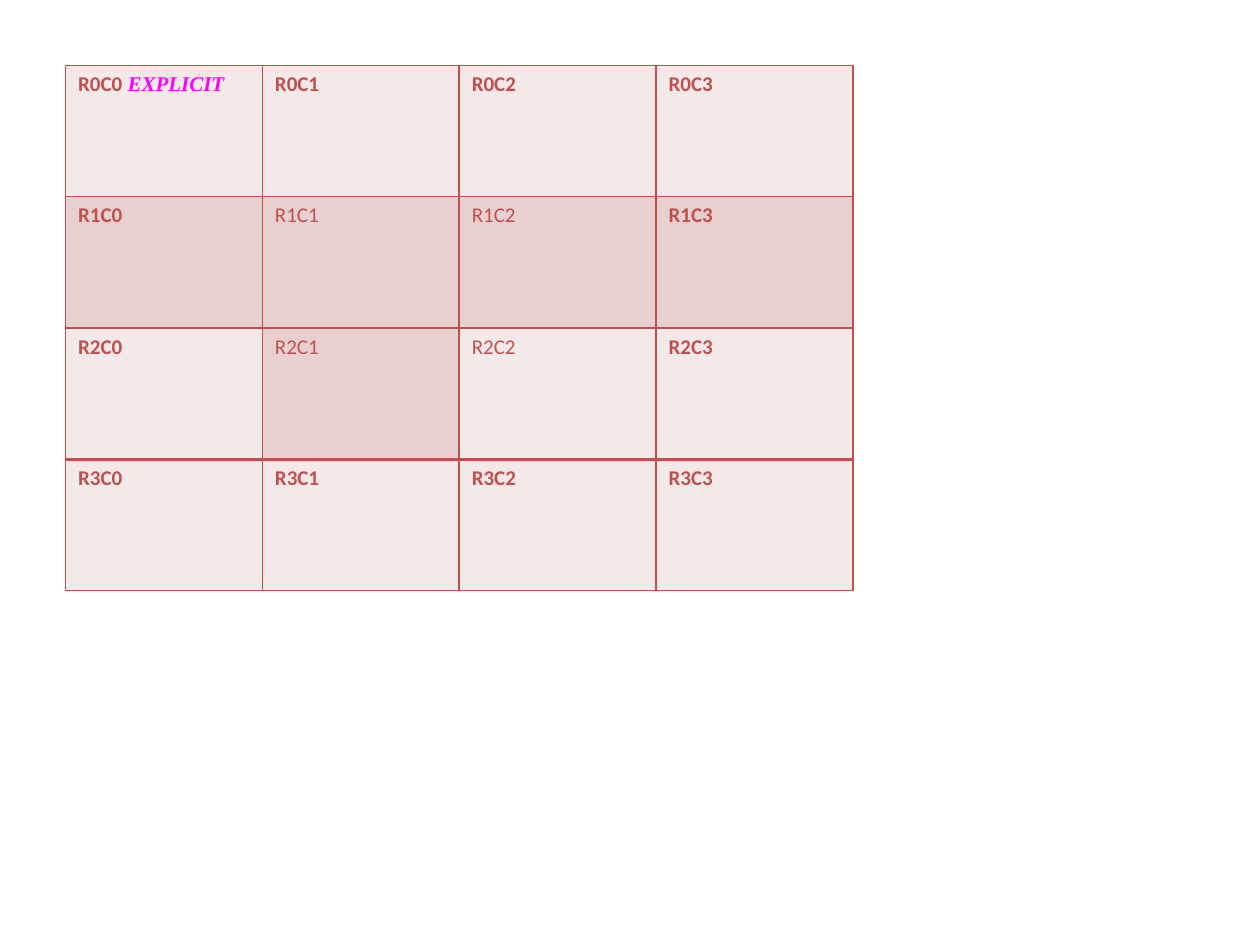
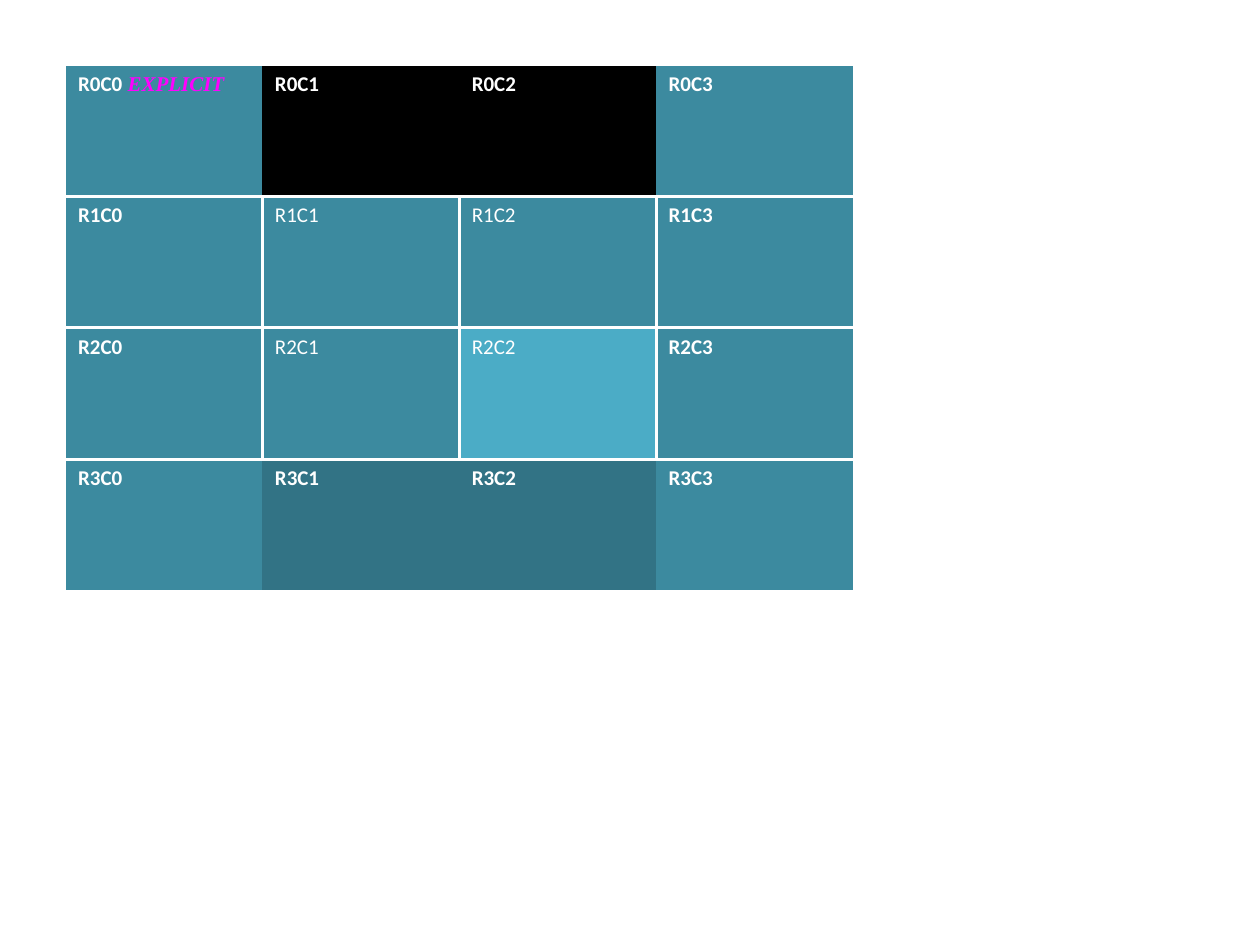
from pptx import Presentation, util as u
from pptx.dml.color import RGBColor
from pptx.oxml.xmlchemy import OxmlElement

WIDE, HIGH = u.Inches(10), u.Inches(7.5)
SIZE = 4
LAST = SIZE - 1
ENDS = (0, LAST)
BOX = (u.Inches(0.52), u.Inches(0.52), WIDE * 5 // 8, HIGH * 5 // 9)
PLAIN = "{2D5ABB26-0587-4C30-8999-92F81FD0307C}"

RED, PALE, ROSE = "C0504D", "F4E9E9", "E8D0D0"
WHITE, BLACK, PINK = "FFFFFF", "000000", "FF00FF"
TEAL, SKY, DEEP = "3C8A9F", "4BACC6", "327385"


def rgb(code):
    return RGBColor.from_string(code)


def rule(cell, side, color, width):
    line = OxmlElement(f"a:ln{side}")
    line.set("w", str(u.Pt(width)))
    fill = OxmlElement("a:solidFill")
    tint = OxmlElement("a:srgbClr")
    tint.set("val", color)
    fill.append(tint)
    line.append(fill)
    cell._tc.get_or_add_tcPr().append(line)


def style(run, color, bold, face="Calibri", slant=False):
    font = run.font
    font.name, font.size = face, u.Pt(12)
    font.bold, font.italic = bold, slant
    font.color.rgb = rgb(color)


def light_fill(row, col):
    return ROSE if row == 1 or (row, col) == (2, 1) else PALE


def light_edge(row, col):
    thick = {"T": 2} if row == LAST else {"B": 2} if row == LAST - 1 else {}
    return {side: thick.get(side, 1) for side in "LRTB"}


def dark_fill(row, col):
    if (row, col) == (2, 2):
        return SKY
    if col in ENDS:
        return TEAL
    return {0: BLACK, LAST: DEEP}.get(row, TEAL)


def dark_edge(row, col):
    inner = row not in ENDS
    drawn = {
        "L": inner and col in (1, LAST),
        "R": inner and col in (0, LAST - 1),
        "T": row in (1, LAST),
        "B": row in (0, LAST - 1),
    }
    return {side: 2 for side, shown in drawn.items() if shown}


def grid(slide, box, color, shade, edge):
    left, top, width, height = box
    table = slide.shapes.add_table(SIZE, SIZE, left, top, width, height).table
    table.first_row = table.horz_banding = False
    table._tbl.tblPr[0].text = PLAIN
    for part in table.columns:
        part.width = width // SIZE
    for part in table.rows:
        part.height = height // SIZE
    for row in range(SIZE):
        for col in range(SIZE):
            cell = table.cell(row, col)
            for side, weight in edge(row, col).items():
                rule(cell, side, color, weight)
            cell.fill.solid()
            cell.fill.fore_color.rgb = rgb(shade(row, col))
            cell.text = f"R{row}C{col}"
            bold = row in ENDS or col in ENDS
            style(cell.text_frame.paragraphs[0].runs[0], color, bold)
    extra = table.cell(0, 0).text_frame.paragraphs[0].add_run()
    extra.text = " EXPLICIT"
    style(extra, PINK, True, "Times New Roman", True)


def main():
    deck = Presentation()
    deck.slide_width, deck.slide_height = WIDE, HIGH
    looks = [(RED, light_fill, light_edge), (WHITE, dark_fill, dark_edge)]
    for look in looks:
        grid(deck.slides.add_slide(deck.slide_layouts[6]), BOX, *look)
    deck.save("out.pptx")


if __name__ == "__main__":
    main()
